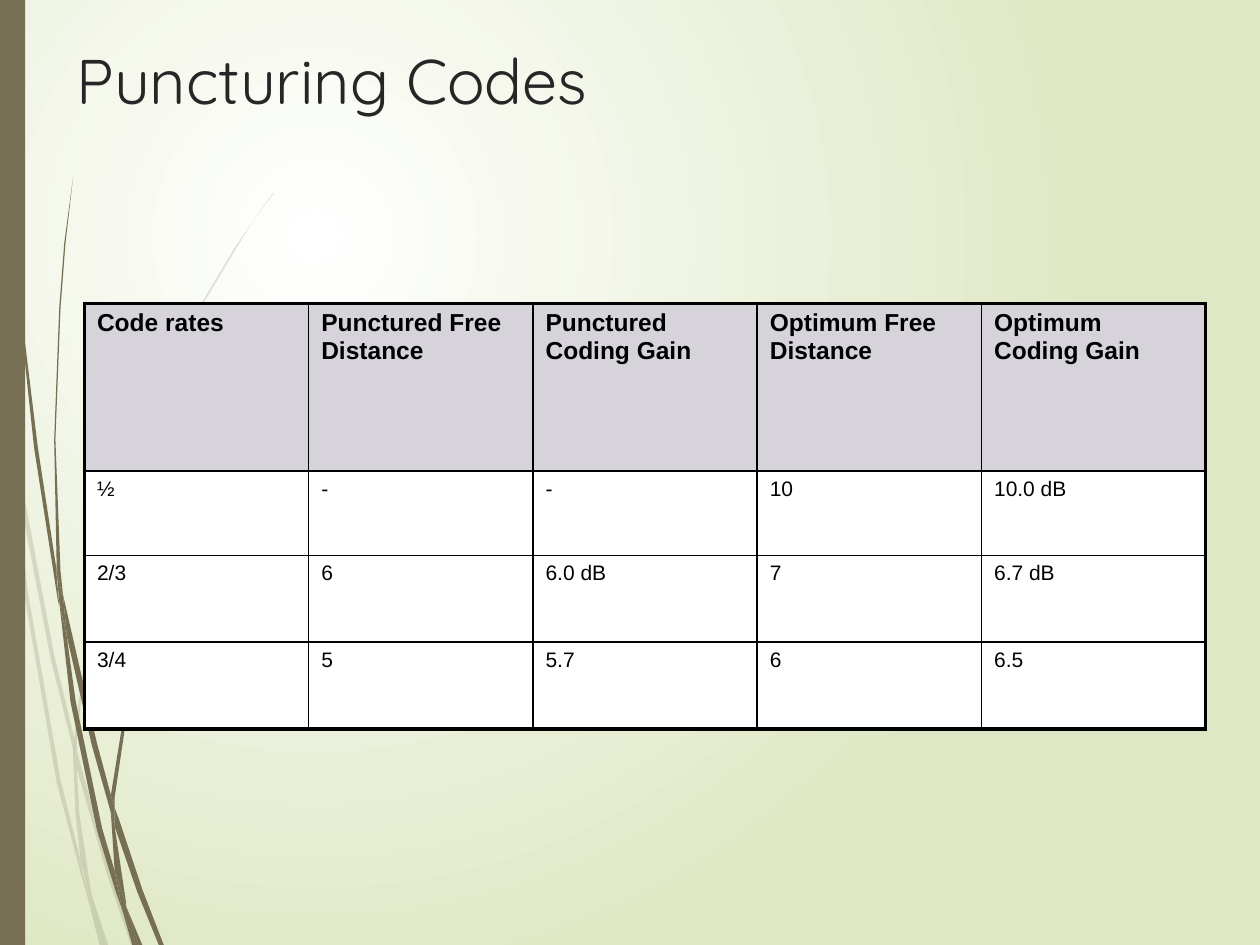
from lxml.etree import SubElement
from pptx import Presentation
from pptx.dml.color import RGBColor
from pptx.enum.shapes import MSO_SHAPE as Shape
from pptx.enum.text import MSO_ANCHOR as Anchor, PP_ALIGN as Align
from pptx.oxml.ns import qn
from pptx.util import Inches, Pt

W, H = Inches(10), Inches(7.5)
UNIT = 9144  # blade outlines are in hundredths of an inch
BROWN, BLACK = "766F54", "000000"

PALE = [
    "8 350, 6 322, 0 282, 0 299, 7 344",
    "40 522, 59 599, 59 586, 43 520, 10 345, 12 376",
    "64 607, 61 596, 61 610, 85 694, 104 750, 108 750, 88 692",
    "83 750, 86 750, 73 711",
    "64 683, 48 619, 22 469, 12 376, 8 350, 19 470, 45 621, 64 693, 70 714, 69 707",
    "58 599, 60 646, 64 683, 67 692, 73 711, 72 706, 63 646, 61 610, 61 608",
    "61 584, 76 462, 111 349, 159 245, 187 198, 201 175, 217 154, 217 153, 201 175, "
    "186 197, 158 244, 110 348, 75 461, 59 584, 59 586, 61 596",
    "70 714, 79 750, 82 750",
    "61 608, 61 610, 61 596, 59 586, 58 599",
    "67 692, 65 683, 69 707, 70 714, 82 750, 83 750, 73 711",
]
DARK = [
    "5 110, 14 233, 27 355, 46 477, 47 481, 45 457, 45 453, 30 355, 15 232, 6 109, "
    "4 48, 3 0, 2 0, 3 48",
    "73 592, 88 645, 88 633, 88 631, 77 590, 50 472, 53 505",
    "94 649, 91 641, 91 656, 109 708, 126 750, 130 750, 113 706",
    "91 691, 81 657, 60 556, 53 505, 47 477, 56 557, 77 659, 92 708, 97 722, 96 717",
    "50 472, 48 453, 44 349, 48 245, 52 193, 58 141, 51 193, 47 245, 43 349, 45 449, 49 472",
    "110 750, 113 750, 100 719",
    "47 477, 53 505, 50 472, 49 472, 45 449, 45 453",
    "91 633, 103 552, 131 476, 169 406, 191 374, 203 359, 216 344, 215 344, 203 358, "
    "191 373, 168 405, 129 474, 101 551, 88 631, 91 641",
    "97 722, 105 750, 108 750",
    "88 645, 91 691, 96 706, 100 719, 100 716, 91 656, 90 651",
    "88 645, 90 651, 91 656, 91 641, 88 631, 88 633",
    "96 706, 91 691, 96 717, 97 722, 108 750, 110 750, 100 719",
]
ROWS = [
    ["Code rates", "Punctured Free Distance", "Punctured Coding Gain",
     "Optimum Free Distance", "Optimum Coding Gain"],
    ["½", "-", "-", "10", "10.0 dB"],
    ["2/3", "6", "6.0 dB", "7", "6.7 dB"],
    ["3/4", "5", "5.7", "6", "6.5"],
]
TALL = [1.33, 0.67, 0.69, 0.69]  # row heights in inches


def tint(code):
    return RGBColor.from_string(code)


def paint(shape, code, alpha=None):
    """Flat fill with no outline or shadow."""
    shape.shadow.inherit = False
    shape.line.fill.background()
    shape.fill.solid()
    shape.fill.fore_color.rgb = tint(code)
    if alpha:
        mark = next(shape.element.spPr.iter(qn("a:srgbClr")))
        SubElement(mark, qn("a:alpha"), val=str(alpha * 1000))


def style(para, font, size, code, bold=False):
    for run in para.runs:
        run.font.name, run.font.size = font, Pt(size)
        run.font.bold = bold
        run.font.color.rgb = tint(code)


def add_glow(slide):
    """Background glow, white near the upper left."""
    fill = slide.background.fill
    fill.gradient()
    for stop, code, pos in zip(fill.gradient_stops, ("FFFFFF", "DFE8C4"), (0, 1)):
        stop.color.rgb, stop.position = tint(code), pos
    grad = next(slide.element.iter(qn("a:gradFill")))
    grad.remove(grad.find(qn("a:lin")))
    ring = SubElement(grad, qn("a:path"), path="circle")
    SubElement(ring, qn("a:fillToRect"), l="50000", t="50000", r="100000", b="100000")


def add_grass(slide, blades, alpha=None):
    group = slide.shapes.add_group_shape()
    for blade in blades:
        first, *rest = [tuple(map(int, dot.split())) for dot in blade.split(",")]
        pen = group.shapes.build_freeform(*first, scale=UNIT)
        pen.add_line_segments(rest, close=True)
        paint(pen.convert_to_shape(), BROWN, alpha)


def add_title(slide, text):
    title = slide.shapes.title
    title.left, title.top = int(W * 0.051), int(H * 0.037)
    title.width, title.height = int(W * 0.9), int(H * 0.167)
    frame = title.text_frame
    frame.text = text
    frame.vertical_anchor = Anchor.TOP
    para = frame.paragraphs[0]
    para.alignment = Align.LEFT
    style(para, "Quicksand", 36, "262626")
    # Bring the title in front of the grass
    title.element.getparent().append(title.element)


def add_edge(cell, side, width):
    line = SubElement(cell._tc.get_or_add_tcPr(), qn("a:ln" + side), w=str(Pt(width)))
    fill = SubElement(line, qn("a:solidFill"))
    SubElement(fill, qn("a:srgbClr"), val=BLACK)


def fill_cell(cell, text, head, outer):
    cell.text = text
    para = cell.text_frame.paragraphs[0]
    gap = SubElement(para._p.get_or_add_pPr(), qn("a:spcBef"))
    SubElement(gap, qn("a:spcPct"), val="20000")
    style(para, "Arial", 14 if head else 12, BLACK, head)
    for side in "LRTB":
        add_edge(cell, side, 2.25 if side in outer else 1)
    cell.fill.solid()
    cell.fill.fore_color.rgb = tint("D7D3DB" if head else "FFFFFF")


def add_grid(slide, rows, tall):
    last, end = len(rows) - 1, len(rows[0]) - 1
    frame = slide.shapes.add_table(last + 1, end + 1, int(W * 0.067), int(H * 0.321),
                                   int(W * 0.89), Inches(sum(tall)))
    table = frame.table
    table.first_row = table.horz_banding = False
    for r, row in enumerate(rows):
        table.rows[r].height = Inches(tall[r])
        for c, text in enumerate(row):
            sides = {"L": c == 0, "R": c == end, "T": r == 0, "B": r == last}
            outer = [side for side, edge in sides.items() if edge]
            fill_cell(table.cell(r, c), text, r == 0, outer)


def main():
    deck = Presentation()
    deck.slide_width, deck.slide_height = W, H
    slide = deck.slides.add_slide(deck.slide_layouts[5])
    # Backdrop
    add_glow(slide)
    add_grass(slide, PALE, 20)
    add_grass(slide, DARK)
    paint(slide.shapes.add_shape(Shape.RECTANGLE, 0, 0, int(W * 0.02), H), BROWN)
    # Content
    add_title(slide, "Puncturing Codes")
    add_grid(slide, ROWS, TALL)
    deck.save("out.pptx")


if __name__ == "__main__":
    main()
